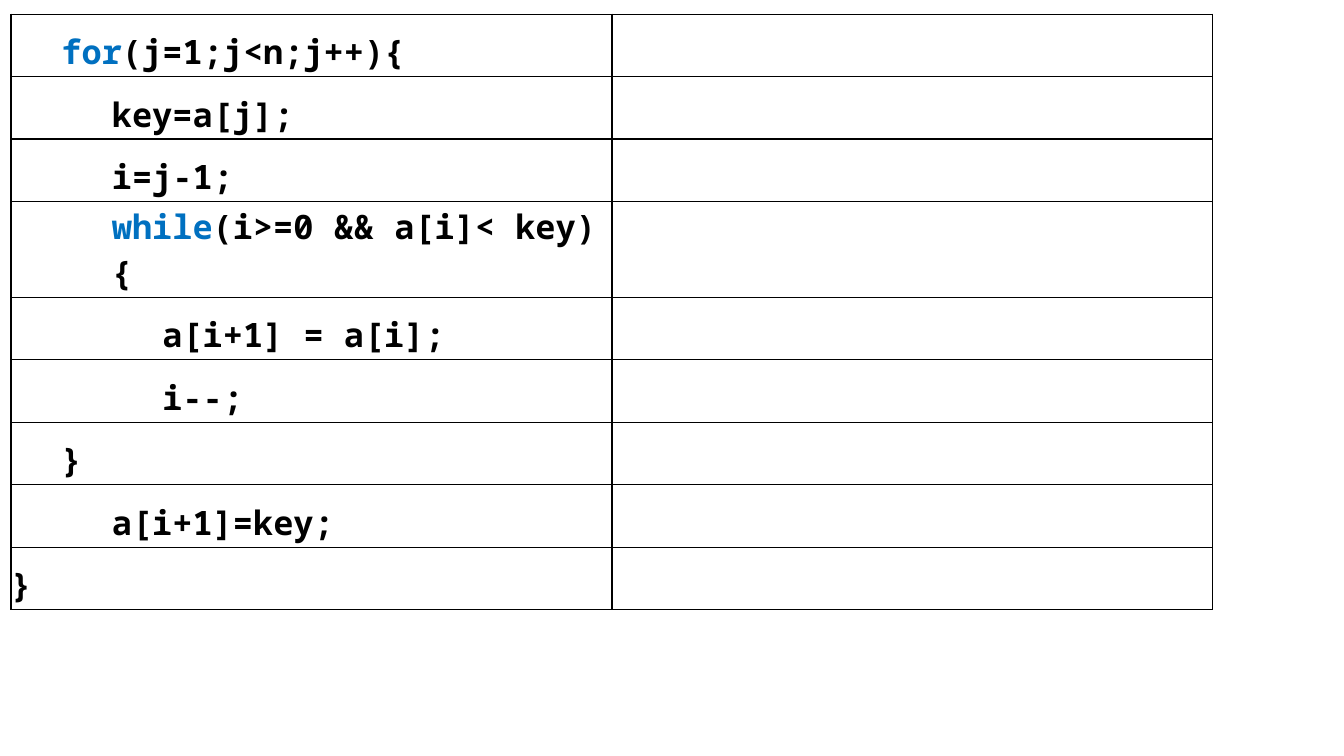
from lxml import etree
from pptx import Presentation, util as u
from pptx.dml.color import RGBColor
from pptx.enum import text
from pptx.oxml import ns

WHITE = RGBColor(0xFF, 0xFF, 0xFF)
BLACK = RGBColor(0x00, 0x00, 0x00)
KEYWORD_BLUE = RGBColor(0x00, 0x70, 0xC0)

# Indent level, keyword, remaining code
CODE_LINES = [
    (1, "for", "(j=1;j<n;j++){"),
    (2, "", "key=a[j];"),
    (2, "", "i=j-1;"),
    (2, "while", "(i>=0 && a[i]< key){"),
    (3, "", "a[i+1] = a[i];"),
    (3, "", "i--;"),
    (1, "", "}"),
    (2, "", "a[i+1]=key;"),
    (0, "", "}"),
]


class CodeSlide:
    font = "Noto Sans Mono"
    size = u.Pt(24)
    indent = u.Inches(0.5)
    border = u.Pt(1)

    def __init__(self, page):
        self.page = page

    def add_code_table(self, lines, left, top, column_width, row_height):
        """Put each line of code in the first column, beside an empty cell."""
        frame = self.page.shapes.add_table(
            len(lines), 2, u.Inches(left), u.Inches(top),
            u.Inches(2 * column_width), u.Inches(row_height * len(lines)))
        table = frame.table
        table.first_row = table.horz_banding = False
        for column in table.columns:
            column.width = u.Inches(column_width)
        for row, line in zip(table.rows, lines):
            row.height = u.Inches(row_height)
            for cell in row.cells:
                self.style_cell(cell)
            self.write_code(row.cells[0], *line)

    def style_cell(self, cell):
        cell.margin_left = cell.margin_right = 0
        cell.margin_top = cell.margin_bottom = u.Inches(0.02)
        cell.vertical_anchor = text.MSO_ANCHOR.BOTTOM
        properties = cell._tc.get_or_add_tcPr()
        for side in ("L", "R", "T", "B"):
            line = etree.SubElement(properties, ns.qn(f"a:ln{side}"), w=str(self.border))
            fill = etree.SubElement(line, ns.qn("a:solidFill"))
            etree.SubElement(fill, ns.qn("a:srgbClr"), val=str(BLACK))
        cell.fill.solid()
        cell.fill.fore_color.rgb = WHITE

    def write_code(self, cell, level, keyword, code):
        para = cell.text_frame.paragraphs[0]
        para.level = level
        properties = para._p.get_or_add_pPr()
        properties.set("marL", str(level * self.indent))
        properties.set("indent", "0")
        for words, color in ((keyword, KEYWORD_BLUE), (code, BLACK)):
            if words:
                self.add_span(para, words, color)

    def add_span(self, para, words, color):
        span = para.add_run()
        span.text = words
        span.font.name = self.font
        span.font.size = self.size
        span.font.bold = True
        span.font.color.rgb = color


def main():
    deck = Presentation()
    deck.slide_width, deck.slide_height = u.Inches(13.33), u.Inches(7.5)
    page = deck.slides.add_slide(deck.slide_layouts[6])
    CodeSlide(page).add_code_table(
        CODE_LINES, left=0.11, top=0.14, column_width=5.96, row_height=0.62)
    deck.save("out.pptx")


if __name__ == "__main__":
    main()
